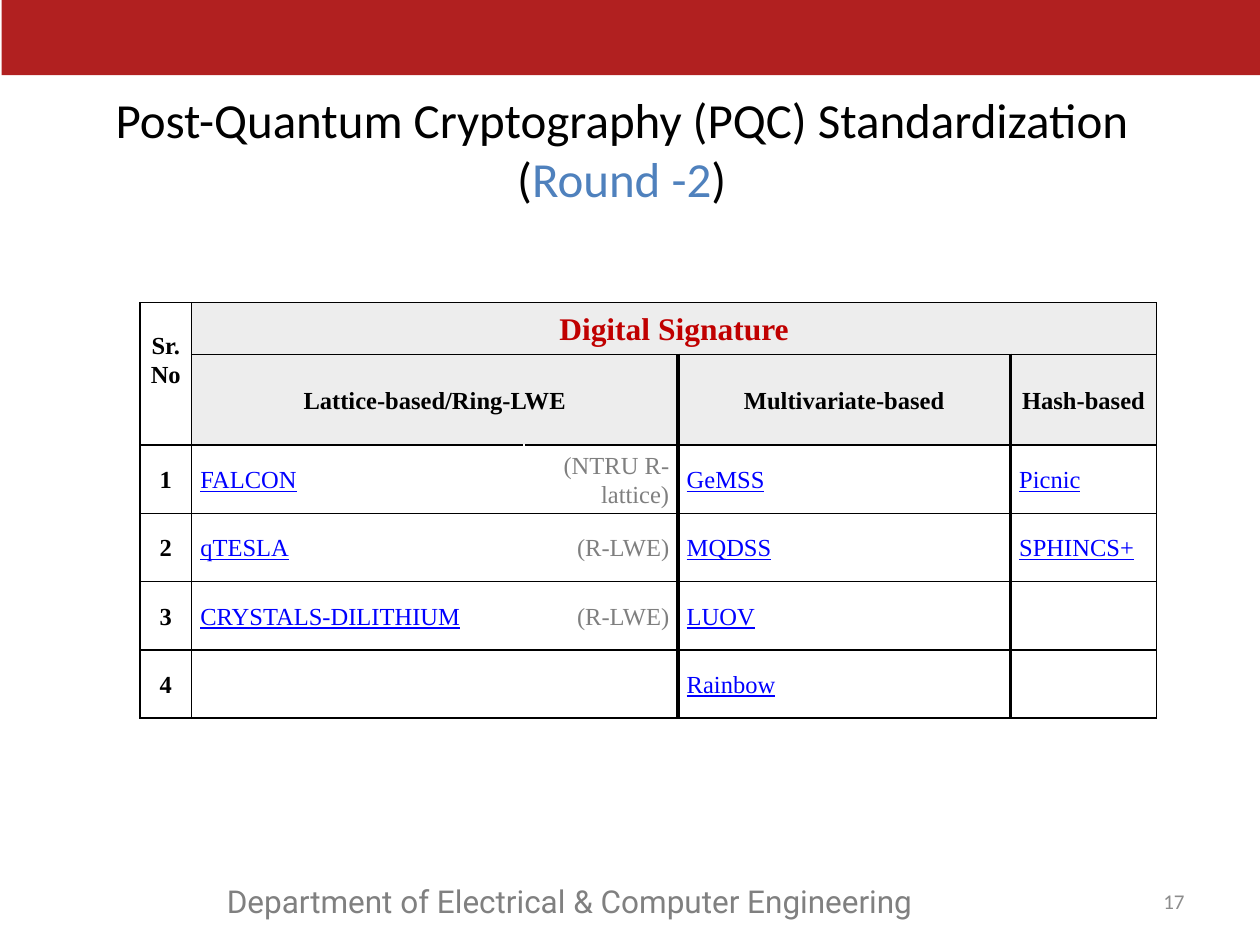
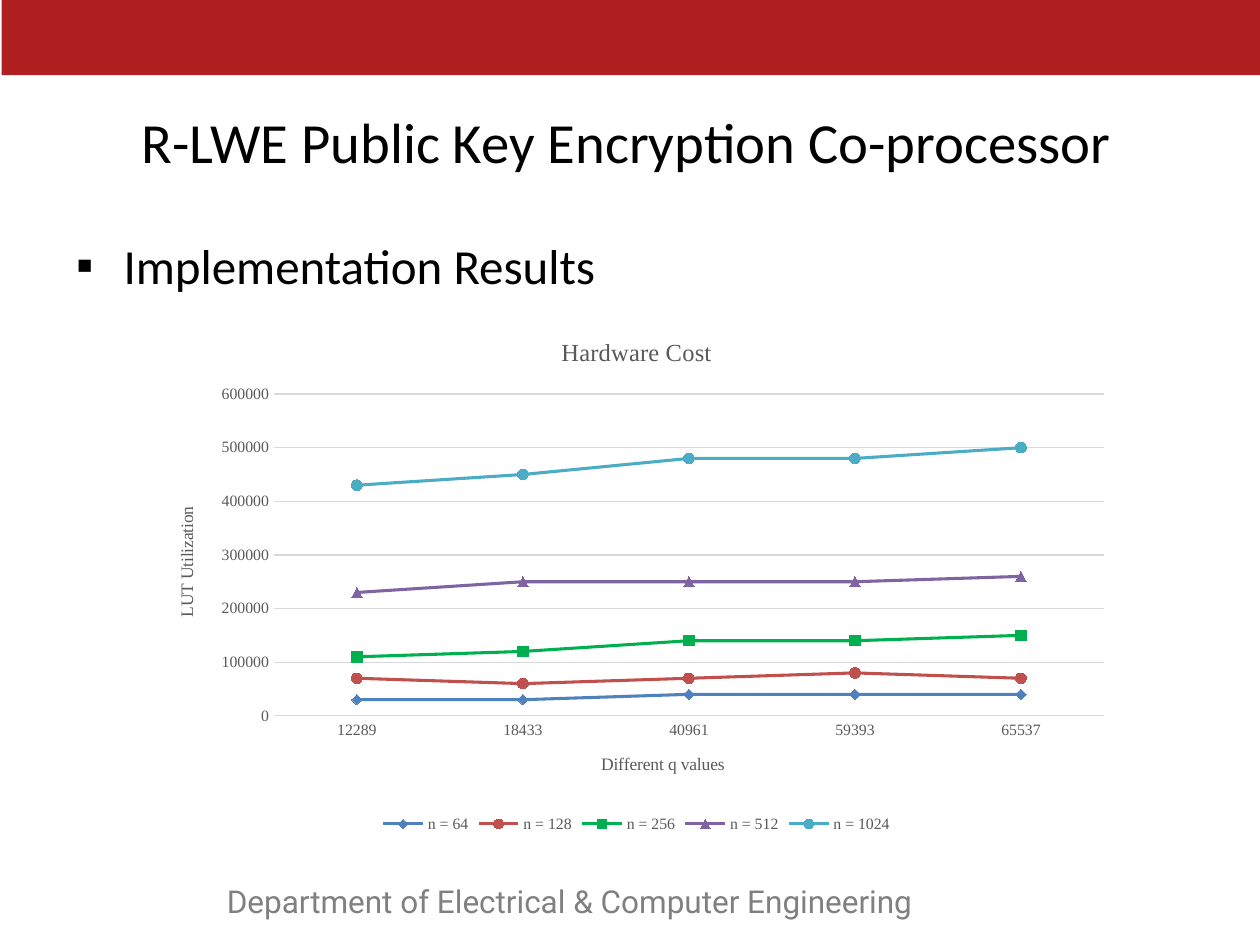
from lxml.etree import SubElement
from pptx import Presentation
from pptx.chart.data import CategoryChartData
from pptx.dml.color import RGBColor
from pptx.enum.chart import XL_CHART_TYPE, XL_LEGEND_POSITION, XL_MARKER_STYLE, XL_TICK_MARK
from pptx.enum.shapes import MSO_SHAPE
from pptx.enum.text import MSO_ANCHOR, PP_ALIGN
from pptx.oxml.ns import qn
from pptx.util import Pt

SANS, SERIF, FOOTER_FONT = "Calibri", "Times New Roman", "Roboto"
BLACK, WHITE, RED, BLUE = "000000", "FFFFFF", "B12020", "4F81BD"
HEADER_FILL, HEADING, LINK, NOTE = "EDEDED", "C00000", "0000FF", "7F7F7F"
CHART_TEXT, GRID = "595959", "D9D9D9"

SCHEMES = [
    ("FALCON", "(NTRU R-lattice)", "GeMSS", "Picnic"),
    ("qTESLA", "(R-LWE)", "MQDSS", "SPHINCS+"),
    ("CRYSTALS-DILITHIUM", "(R-LWE)", "LUOV", ""),
    ("", "", "Rainbow", ""),
]
Q_VALUES = ["12289", "18433", "40961", "59393", "65537"]
LUT_COUNTS = [
    ("n = 64", [30000, 30000, 40000, 40000, 40000], BLUE, XL_MARKER_STYLE.DIAMOND),
    ("n = 128", [70000, 60000, 70000, 80000, 70000], "C0504D", XL_MARKER_STYLE.CIRCLE),
    ("n = 256", [110000, 120000, 140000, 140000, 150000], "00B050", XL_MARKER_STYLE.SQUARE),
    ("n = 512", [230000, 250000, 250000, 250000, 260000], "8064A2", XL_MARKER_STYLE.TRIANGLE),
    ("n = 1024", [430000, 450000, 480000, 480000, 500000], "4BACC6", XL_MARKER_STYLE.CIRCLE),
]


def rgb(color):
    return RGBColor.from_string(color)


def paint(fill, color):
    fill.solid()
    fill.fore_color.rgb = rgb(color)


def set_font(font, size, name=SERIF, color=CHART_TEXT, bold=False):
    font.size, font.name, font.bold = Pt(size), name, bold
    font.color.rgb = rgb(color)


def write(paragraph, text, size=14, font=SERIF, color=BLACK, bold=False,
          underline=False, align=None, spacing=None):
    """Append a run to the paragraph."""
    run = paragraph.add_run()
    run.text = text
    set_font(run.font, size, font, color, bold)
    if underline:
        run.font.underline = True
    if align is not None:
        paragraph.alignment = align
    if spacing:
        paragraph.line_spacing = spacing


def text_area(slide, box, anchor=MSO_ANCHOR.TOP):
    """Add a wrapping text box and return its first paragraph."""
    frame = slide.shapes.add_textbox(*map(Pt, box)).text_frame
    frame.word_wrap = True
    frame.vertical_anchor = anchor
    return frame.paragraphs[0]


def add_page(deck, number=None):
    """Add a slide with the top band, the department footer and maybe a number."""
    slide = deck.slides.add_slide(deck.slide_layouts[6])
    band = slide.shapes.add_shape(MSO_SHAPE.RECTANGLE, Pt(1), 0, Pt(720), Pt(43))
    band.shadow.inherit = False
    paint(band.fill, RED)
    band.line.fill.background()
    write(text_area(slide, (122.5, 500.5, 415.5, 29)),
          "Department of Electrical & Computer Engineering",
          size=18, font=FOOTER_FONT, color="808080")
    if number:
        write(text_area(slide, (641.5, 500.5, 42.5, 29), MSO_ANCHOR.MIDDLE), number,
              size=12, font=SANS, color="8C8C8C", align=PP_ALIGN.RIGHT)
    return slide


def add_title(slide, box, parts, size):
    title = text_area(slide, box, MSO_ANCHOR.MIDDLE)
    for text, color in parts:
        write(title, text, size=size, font=SANS, color=color, align=PP_ALIGN.CENTER)


def fill_cell(cell, text, fill=WHITE, **style):
    paint(cell.fill, fill)
    cell.vertical_anchor = MSO_ANCHOR.MIDDLE
    cell.margin_left = cell.margin_right = Pt(5)
    cell.margin_top = cell.margin_bottom = 0
    if text:
        write(cell.text_frame.paragraphs[0], text, spacing=1.07, **style)


def vertical_rule(row, edge):
    """Width and colour of the rule on the left of column number edge."""
    if edge == 2 and row >= 2:
        return 1, WHITE
    return (2.25 if edge in (3, 4) and row >= 1 else 1), BLACK


def horizontal_rule(edge):
    return (1.5 if edge == 2 else 1), BLACK


def draw_borders(cell, row, column):
    rules = {
        "a:lnL": vertical_rule(row, column),
        "a:lnR": vertical_rule(row, column + cell.span_width),
        "a:lnT": horizontal_rule(row),
        "a:lnB": horizontal_rule(row + cell.span_height),
    }
    properties = cell._tc.get_or_add_tcPr()
    for position, (tag, (width, color)) in enumerate(rules.items()):
        line = SubElement(properties, qn(tag), w=str(Pt(width)))
        SubElement(SubElement(line, qn("a:solidFill")), qn("a:srgbClr"), val=color)
        properties.insert(position, line)


def add_signature_table(slide, left, top):
    widths = [29.5, 190, 88, 190, 83.5]
    heights = [29.5, 49.5] + [39] * len(SCHEMES)
    table = slide.shapes.add_table(
        len(heights), len(widths), Pt(left), Pt(top), Pt(sum(widths)), Pt(sum(heights))).table
    table.first_row = table.horz_banding = False
    for column, width in zip(table.columns, widths):
        column.width = Pt(width)
    for row, height in zip(table.rows, heights):
        row.height = Pt(height)

    table.cell(0, 0).merge(table.cell(1, 0))
    table.cell(0, 1).merge(table.cell(0, 4))
    table.cell(1, 1).merge(table.cell(1, 2))
    header = {"bold": True, "align": PP_ALIGN.CENTER}
    fill_cell(table.cell(0, 0), "Sr. No", **header)
    table.cell(0, 0).margin_bottom = Pt(16)
    fill_cell(table.cell(0, 1), "Digital Signature", HEADER_FILL,
              size=18, color=HEADING, **header)
    families = {1: "Lattice-based/Ring-LWE", 3: "Multivariate-based", 4: "Hash-based"}
    for column, family in families.items():
        fill_cell(table.cell(1, column), family, HEADER_FILL, **header)

    link = {"color": LINK, "underline": True}
    note = {"color": NOTE, "align": PP_ALIGN.RIGHT}
    for number, schemes in enumerate(SCHEMES, 1):
        fill_cell(table.cell(number + 1, 0), str(number), **header)
        for column, scheme in enumerate(schemes, 1):
            fill_cell(table.cell(number + 1, column), scheme, **(note if column == 2 else link))

    for row in range(len(heights)):
        for column in range(len(widths)):
            cell = table.cell(row, column)
            if not cell.is_spanned:
                draw_borders(cell, row, column)


def add_bullet(slide, box, text):
    bullet = text_area(slide, box)
    properties = bullet._p.get_or_add_pPr()
    properties.set("marL", str(Pt(27)))
    properties.set("indent", str(-Pt(27)))
    SubElement(properties, qn("a:buFont"), typeface="Arial")
    SubElement(properties, qn("a:buChar"), char="▪")
    write(bullet, text, size=28, font=SANS)


def style_axis(axis, title):
    write(axis.axis_title.text_frame.paragraphs[0], title, size=10, color=CHART_TEXT)
    axis.major_tick_mark = axis.minor_tick_mark = XL_TICK_MARK.NONE
    set_font(axis.tick_labels.font, 9)


def add_cost_chart(slide, box):
    data = CategoryChartData()
    data.categories = Q_VALUES
    for name, counts, _, _ in LUT_COUNTS:
        data.add_series(name, counts)
    chart = slide.shapes.add_chart(XL_CHART_TYPE.LINE_MARKERS, *map(Pt, box), data).chart
    set_font(chart.font, 10, color=BLACK)
    chart.has_title = True
    write(chart.chart_title.text_frame.paragraphs[0], "Hardware Cost", color=CHART_TEXT)
    chart.chart_title.include_in_layout = False
    chart.has_legend = True
    chart.legend.position = XL_LEGEND_POSITION.BOTTOM
    chart.legend.include_in_layout = False
    set_font(chart.legend.font, 9)

    q_axis, lut_axis = chart.category_axis, chart.value_axis
    style_axis(q_axis, "Different q values")
    style_axis(lut_axis, "LUT Utilization")
    lut_axis.minimum_scale, lut_axis.maximum_scale, lut_axis.major_unit = 0, 600000, 100000
    lut_axis.format.line.fill.background()
    for line in (q_axis.format.line, lut_axis.major_gridlines.format.line):
        line.color.rgb = rgb(GRID)
        line.width = Pt(0.75)

    chart.plots[0].vary_by_categories = False
    for series, (_, _, color, marker) in zip(chart.plots[0].series, LUT_COUNTS):
        series.smooth = False
        series.format.line.color.rgb = rgb(color)
        series.format.line.width = Pt(1.75)
        series.marker.style, series.marker.size = marker, 6
        paint(series.marker.format.fill, color)
        series.marker.format.line.color.rgb = rgb(color)


def build_standardization(deck):
    slide = add_page(deck, "17")
    add_title(slide, (26.5, 58.5, 657.5, 53), [
        ("Post-Quantum Cryptography (PQC) Standardization (", BLACK),
        ("Round -2", BLUE),
        (")", BLACK),
    ], size=28)
    add_signature_table(slide, 80, 173)


def build_results(deck):
    slide = add_page(deck)
    add_bullet(slide, (36.5, 131, 684, 370), "Implementation Results")
    add_title(slide, (34, 54, 648, 53),
              [("R-LWE Public Key Encryption Co-processor", BLACK)], size=32.4)
    add_cost_chart(slide, (85.5, 180, 556.5, 299))


def main():
    deck = Presentation()
    deck.slide_width, deck.slide_height = Pt(720), Pt(540)
    build_standardization(deck)
    build_results(deck)
    deck.save("out.pptx")


if __name__ == "__main__":
    main()
